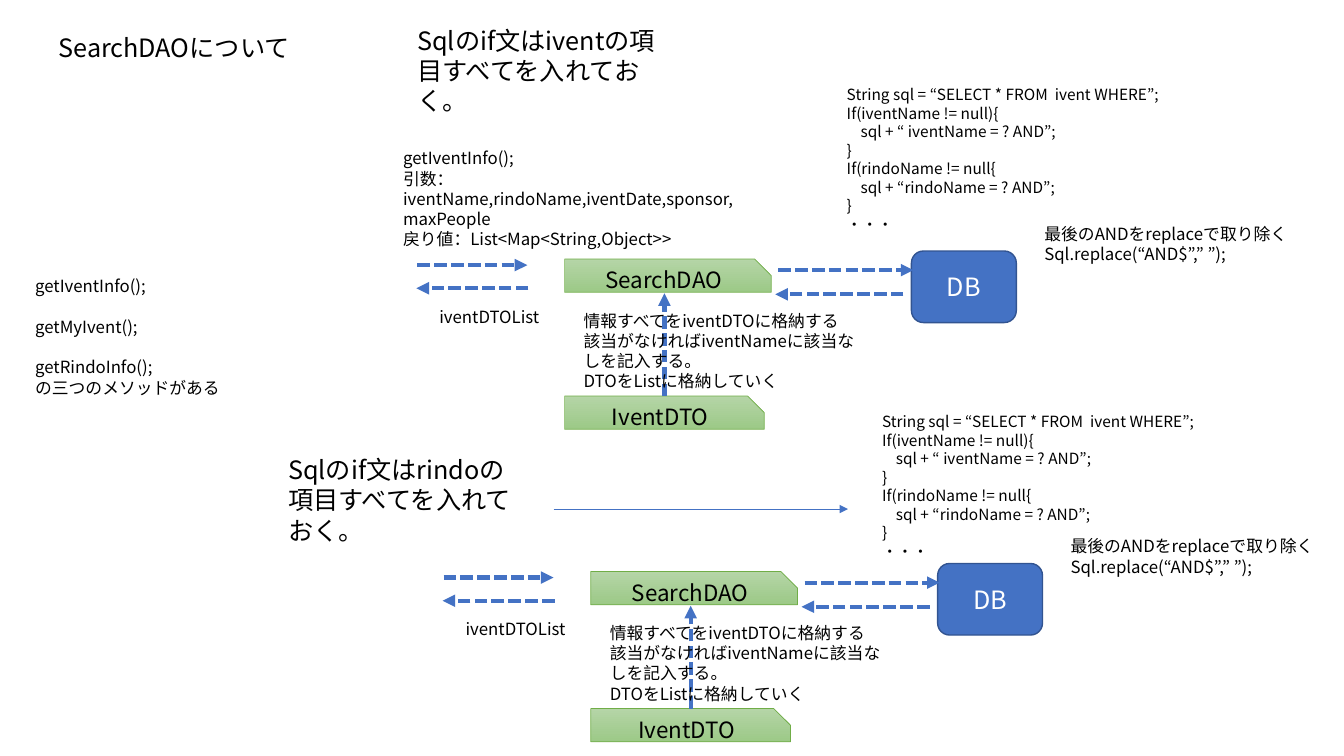
from lxml import etree
from pptx import Presentation
from pptx.dml.color import RGBColor
from pptx.enum.dml import MSO_LINE
from pptx.enum.shapes import MSO_CONNECTOR, MSO_SHAPE
from pptx.enum.text import MSO_ANCHOR, MSO_AUTO_SIZE, PP_ALIGN
from pptx.oxml.ns import qn
from pptx.util import Inches, Pt

STRAIGHT = MSO_CONNECTOR.STRAIGHT
SNIPPED = MSO_SHAPE.SNIP_1_RECTANGLE
ROUNDED = MSO_SHAPE.FLOWCHART_ALTERNATE_PROCESS
DASH = MSO_LINE.SQUARE_DOT
MIDDLE, TOP = MSO_ANCHOR.MIDDLE, MSO_ANCHOR.TOP
CENTER, LEFT = PP_ALIGN.CENTER, PP_ALIGN.LEFT
FIT, NO_FIT = MSO_AUTO_SIZE.SHAPE_TO_FIT_TEXT, MSO_AUTO_SIZE.NONE

FONT = "Noto Sans CJK JP"
COLORS = {
    "text": "000000", "white": "FFFFFF", "blue": "4472C4", "navy": "325491",
    "green": "70AD47", "light green": "B5D5A7", "dark green": "9CC987",
}
COLORS = {name: RGBColor.from_string(value) for name, value in COLORS.items()}

SQL_CODE = [
    "String sql = “SELECT * FROM  ivent WHERE”;",
    "If(iventName != null){",
    "    sql + “ iventName = ? AND”;",
    "}",
    "If(rindoName != null{",
    "    sql + “rindoName = ? AND”;",
    "}",
    "・・・",
]
DTO_NOTE = [
    "情報すべてをiventDTOに格納する",
    "該当がなければiventNameに該当なしを記入する。",
    "DTOをListに格納していく",
]
REPLACE_NOTE = ["最後のANDをreplaceで取り除く", "Sql.replace(“AND$”,” ”);"]


def write(shape, lines, size, color="text", align=LEFT, anchor=TOP, fit=FIT):
    """Fill a shape with one paragraph per line."""
    frame = shape.text_frame
    frame_format = {"word_wrap": True, "auto_size": fit, "vertical_anchor": anchor}
    for name, value in frame_format.items():
        setattr(frame, name, value)
    for index, line in enumerate(lines):
        paragraph = frame.paragraphs[0] if index == 0 else frame.add_paragraph()
        paragraph.alignment = align
        run = paragraph.add_run()
        run.text = line
        run.font.size = Pt(size)
        run.font.name = FONT
        run.font.color.rgb = COLORS[color]
        east_asian = etree.SubElement(run.font._element, qn("a:ea"))
        east_asian.set("typeface", FONT)


def add_arrow(shapes, start, end, width=3, dash=DASH):
    arrow = shapes.add_connector(STRAIGHT, *(Inches(value) for value in (*start, *end)))
    arrow.line.color.rgb = COLORS["blue"]
    arrow.line.width = Pt(width)
    if dash:
        arrow.line.dash_style = dash
    etree.SubElement(arrow.line._get_or_add_ln(), qn("a:tailEnd")).set("type", "triangle")
    etree.SubElement(arrow._element.spPr, qn("a:effectLst"))


presentation = Presentation()
presentation.slide_width = Inches(13.33)
presentation.slide_height = Inches(7.5)
slide = presentation.slides.add_slide(presentation.slide_layouts[5])
shapes = slide.shapes

title = shapes.title
title_place = {"left": 0.48, "top": 0.27, "width": 5.27, "height": 0.4}
for name, value in title_place.items():
    setattr(title, name, Inches(value))
write(title, ["SearchDAOについて"], 18, fit=NO_FIT)

# The same flow is shown for ivent and, shifted, for rindo
for shift_x, shift_y in [(0, 0), (0.26, 3.1)]:
    boxes = [
        (SNIPPED, 5.6, 2.57, 2.05, 0.33, "SearchDAO", 16),
        (SNIPPED, 5.6, 3.93, 1.98, 0.33, "IventDTO", 16),
        (ROUNDED, 9.04, 2.49, 1.04, 0.71, "DB", 18),
    ]
    for kind, left, top, width, height, label, size in boxes:
        box = shapes.add_shape(kind, Inches(left + shift_x), Inches(top + shift_y),
                               Inches(width), Inches(height))
        box.shadow.inherit = False
        if kind == SNIPPED:
            box.adjustments[0] = 0.5
            box.fill.gradient()
            box.fill.gradient_angle = 270
            for stop, color in zip(box.fill.gradient_stops, ("light green", "dark green")):
                stop.color.rgb = COLORS[color]
            outline, line_width, text_color = "green", 0.5, "text"
        else:
            box.fill.solid()
            box.fill.fore_color.rgb = COLORS["blue"]
            outline, line_width, text_color = "navy", 1, "white"
        box.line.color.rgb = COLORS[outline]
        box.line.width = Pt(line_width)
        write(box, [label], size, text_color, CENTER, MIDDLE, NO_FIT)

    arrows = [
        (4.14, 2.63, 5.23, 2.63),
        (5.24, 2.86, 4.13, 2.86),
        (7.72, 2.68, 9.06, 2.68),
        (8.96, 2.92, 7.69, 2.92),
        (6.59, 3.93, 6.59, 2.91),
    ]
    for x1, y1, x2, y2 in arrows:
        add_arrow(shapes, (x1 + shift_x, y1 + shift_y), (x2 + shift_x, y2 + shift_y))

    flow_notes = [
        (4.26, 2.99, 2.1, 0.3, ["iventDTOList"]),
        (5.69, 3.03, 2.89, 0.91, DTO_NOTE),
        (10.26, 2.17, 2.66, 0.5, REPLACE_NOTE),
    ]
    for left, top, width, height, lines in flow_notes:
        note = shapes.add_textbox(Inches(left + shift_x), Inches(top + shift_y),
                                  Inches(width), Inches(height))
        write(note, lines, 12)

add_arrow(shapes, (5.49, 5.05), (8.41, 5.05), width=0.5, dash=None)

notes = [
    (4.04, 0.2, 2.56, 1.01, 18, ["Sqlのif文はiventの項目すべてを入れておく。"]),
    (2.76, 4.46, 2.56, 1.01, 18, ["Sqlのif文はrindoの項目すべてを入れておく。"]),
    (8.3, 0.8, 5.04, 1.58, 11, SQL_CODE),
    (8.65, 4.04, 5.04, 1.58, 11, SQL_CODE),
    (3.9, 1.42, 3.49, 1.11, 12, [
        "getIventInfo();",
        "引数：iventName,rindoName,iventDate,sponsor,maxPeople",
        "戻り値：List<Map<String,Object>>",
    ]),
]
for left, top, width, height, size, lines in notes:
    note = shapes.add_textbox(Inches(left), Inches(top), Inches(width), Inches(height))
    write(note, lines, size)

methods = shapes.add_textbox(Inches(0.25), Inches(2.69), Inches(3.49), Inches(1.31))
write(methods, ["getIventInfo();", "getMyIvent();", "getRindoInfo();",
                "の三つのメソッドがある"], 12)
for paragraph in methods.text_frame.paragraphs[1:3]:
    paragraph.space_before = Pt(14.5)

presentation.save("out.pptx")
